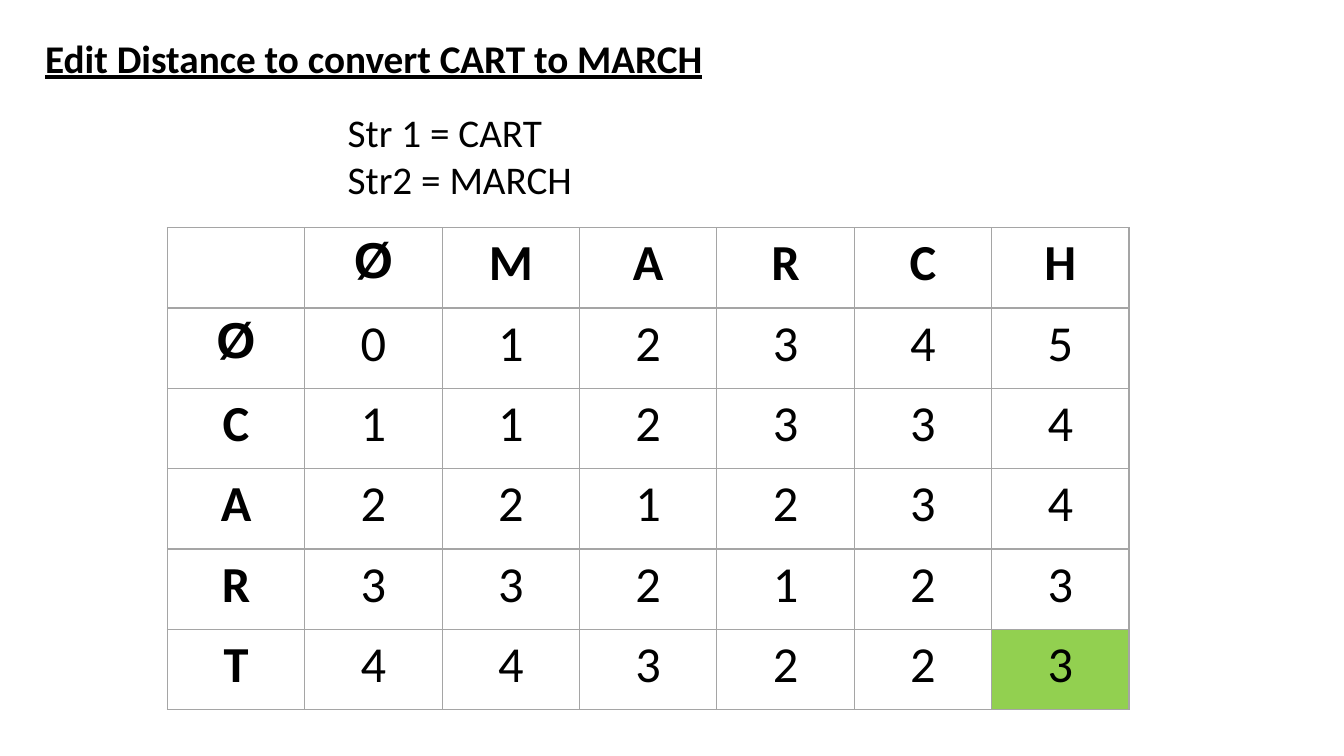
import pptx
import pptx.dml.color
import pptx.enum.text
import pptx.oxml
import pptx.oxml.ns
import pptx.util
from pptx.util import Inches, Pt

BLACK = pptx.dml.color.RGBColor(0x00, 0x00, 0x00)
GREEN = pptx.dml.color.RGBColor(0x92, 0xD0, 0x50)
GREY = pptx.dml.color.RGBColor(0xA5, 0xA5, 0xA5)

TITLE = "Edit Distance to convert CART to MARCH"
STRINGS = ["Str 1 = CART", "Str2 = MARCH"]
DISTANCES = [
    ["", "Ø", "M", "A", "R", "C", "H"],
    ["Ø", "0", "1", "2", "3", "4", "5"],
    ["C", "1", "1", "2", "3", "3", "4"],
    ["A", "2", "2", "1", "2", "3", "4"],
    ["R", "3", "3", "2", "1", "2", "3"],
    ["T", "4", "4", "3", "2", "2", "3"],
]


def style_font(font, size, bold=False, name="Calibri"):
    font.name = name
    font.size = Pt(size)
    font.bold = bold
    font.color.rgb = BLACK


def add_heading(s, left, top, width, height):
    """Underlined title with the two indented strings below it."""
    tf = s.shapes.add_textbox(left, top, width, height).text_frame
    tf.word_wrap = True
    tf.auto_size = pptx.enum.text.MSO_AUTO_SIZE.SHAPE_TO_FIT_TEXT
    title = tf.paragraphs[0]
    title.text = TITLE
    style_font(title.runs[0].font, 28, bold=True)
    title.runs[0].font.underline = True
    for i, text in enumerate(STRINGS):
        p = tf.add_paragraph()
        p.text = text
        p.space_before = Pt(0 if i else 19.5)
        p._p.get_or_add_pPr().set("marL", str(Inches(3)))
        style_font(p.runs[0].font, 28)


def set_borders(cell, **widths):
    """Draw grey borders; widths maps the sides L, R, T, B to points."""
    tc_pr = cell._tc.get_or_add_tcPr()
    for side, width in widths.items():
        tc_pr.append(pptx.oxml.parse_xml(
            f'<a:ln{side} {pptx.oxml.ns.nsdecls("a")} w="{Pt(width)}">'
            f'<a:solidFill><a:srgbClr val="{GREY}"/></a:solidFill></a:ln{side}>'))


def add_distance_table(s, left, top, width, height):
    """Distance matrix with the final answer highlighted."""
    rows, cols = len(DISTANCES), len(DISTANCES[0])
    table = s.shapes.add_table(rows, cols, left, top, width, height).table
    table.first_row = table.horz_banding = False
    for r, values in enumerate(DISTANCES):
        for c, value in enumerate(values):
            cell = table.cell(r, c)
            set_borders(cell, L=1, R=1, T=2 if r == 1 else 1, B=2 if r == 0 else 1)
            if (r, c) == (rows - 1, cols - 1):
                cell.fill.solid()
                cell.fill.fore_color.rgb = GREEN
            else:
                cell.fill.background()
            p = cell.text_frame.paragraphs[0]
            p.text = value
            p.alignment = pptx.enum.text.PP_ALIGN.CENTER
            for run in p.runs:
                style_font(run.font, 36, bold=r == 0 or c == 0,
                           name="Arial" if value == "Ø" else "Calibri")


def main():
    prs = pptx.Presentation()
    prs.slide_width, prs.slide_height = Inches(13.33), Inches(7.5)
    s = prs.slides.add_slide(prs.slide_layouts[6])
    add_distance_table(s, Inches(1.66), Inches(2.26), Inches(9.54), Inches(4.78))
    add_heading(s, Inches(0.35), Inches(0.29), Inches(12.71), Inches(1.78))
    prs.save("out.pptx")


if __name__ == "__main__":
    main()
